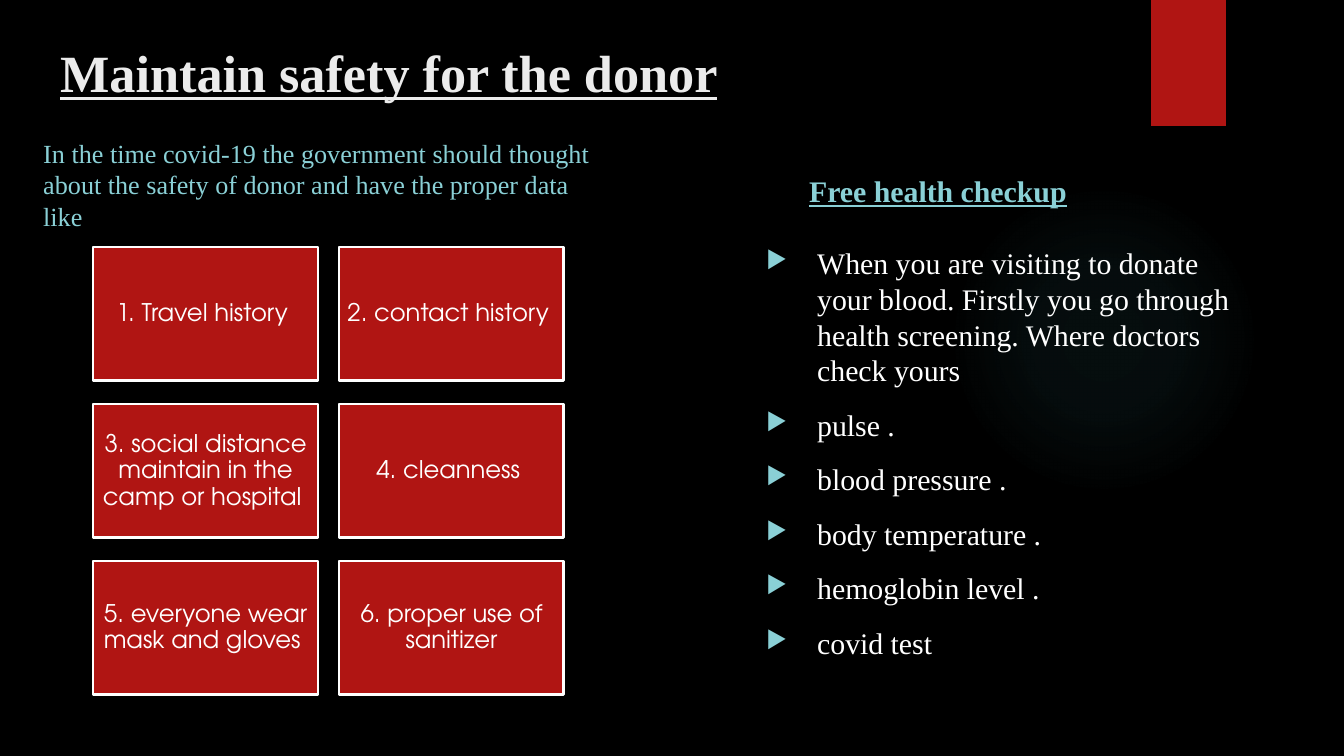
from lxml import etree
from pptx import Presentation
from pptx.dml.color import RGBColor
from pptx.enum.shapes import MSO_SHAPE
from pptx.enum.text import MSO_ANCHOR, PP_ALIGN
from pptx.oxml import parse_xml
from pptx.oxml.ns import nsdecls, qn
from pptx.util import Emu, Pt

RECTANGLE, OVAL = MSO_SHAPE.RECTANGLE, MSO_SHAPE.OVAL
TOP, MIDDLE, BOTTOM = MSO_ANCHOR.TOP, MSO_ANCHOR.MIDDLE, MSO_ANCHOR.BOTTOM
CENTER = PP_ALIGN.CENTER

BLACK = RGBColor(0x00, 0x00, 0x00)
WHITE = RGBColor(0xFF, 0xFF, 0xFF)
PALE_GREY = RGBColor(0xEB, 0xEB, 0xEB)
RED = RGBColor(0xB0, 0x15, 0x13)
AQUA = RGBColor(0x8A, 0xD0, 0xD6)
TEAL = RGBColor(0x50, 0xB9, 0xC1)

SERIF = "Times New Roman"
SANS = "TeX Gyre Adventor"

GLOW_STOPS = [(0, 7), (36, 6), (69, 0)]
PRECAUTIONS = [
    "1. Travel history ",
    "2. contact history ",
    "3. social distance maintain in the camp or hospital ",
    "4. cleanness ",
    "5. everyone wear mask and gloves ",
    "6. proper use of sanitizer",
]
CHECKS = [
    "When you are visiting to donate your blood. Firstly you go through "
    "health screening. Where doctors check yours",
    "pulse . ",
    "blood pressure . ",
    "body temperature . ",
    "hemoglobin level . ",
    "covid test ",
]


def px(length):
    return Emu(round(length * 914400 / 134.4))


def style_runs(paragraph, font_name, size, color, heading=False):
    for run in paragraph.runs:
        run.font.name = font_name
        run.font.size = Pt(size)
        run.font.color.rgb = color
        if heading:
            run.font.bold = True
            run.font.underline = True


def add_shape(slide, preset, box, color):
    shape = slide.shapes.add_shape(preset, *map(px, box))
    shape.shadow.inherit = False
    shape.fill.solid()
    shape.fill.fore_color.rgb = color
    shape.line.fill.background()
    return shape


def add_glow(slide, box):
    glow = add_shape(slide, OVAL, box, TEAL)
    stops = "".join(
        f'<a:gs pos="{position * 1000}"><a:srgbClr val="{TEAL}">'
        f'<a:alpha val="{alpha * 1000}"/></a:srgbClr></a:gs>'
        for position, alpha in GLOW_STOPS
    )
    gradient = parse_xml(
        f'<a:gradFill {nsdecls("a")}><a:gsLst>{stops}</a:gsLst>'
        '<a:path path="circle"><a:fillToRect l="50000" t="50000" '
        'r="50000" b="50000"/></a:path></a:gradFill>'
    )
    properties = glow.fill._xPr
    properties.replace(properties.find(qn("a:solidFill")), gradient)


def add_text(slide, box, paragraphs, size, color, anchor=TOP, heading=False):
    frame = slide.shapes.add_textbox(*map(px, box)).text_frame
    frame.word_wrap = True
    frame.vertical_anchor = anchor
    frame.text = "\n".join(paragraphs)
    for paragraph in frame.paragraphs:
        paragraph.space_before = Pt(10)
        style_runs(paragraph, SERIF, size, color, heading)
    return frame


def add_bullet(paragraph):
    properties = paragraph._p.get_or_add_pPr()
    indent = px(51)
    properties.set("marL", str(indent))
    properties.set("indent", str(-indent))
    bullet_color = etree.SubElement(properties, qn("a:buClr"))
    etree.SubElement(bullet_color, qn("a:srgbClr"), val=str(AQUA))
    etree.SubElement(properties, qn("a:buSzPct"), val="80000")
    etree.SubElement(properties, qn("a:buChar"), char="▶")


def add_card(slide, box, label):
    card = add_shape(slide, RECTANGLE, box, RED)
    card.line.color.rgb = WHITE
    card.line.width = Pt(1.5)
    frame = card.text_frame
    frame.word_wrap = True
    frame.vertical_anchor = MIDDLE
    frame.margin_left = frame.margin_right = px(7)
    frame.margin_top = frame.margin_bottom = px(7)
    frame.text = label
    paragraph = frame.paragraphs[0]
    paragraph.alignment = CENTER
    paragraph.line_spacing = 0.9
    style_runs(paragraph, SANS, 13, WHITE)


def add_cards(slide):
    for index, label in enumerate(PRECAUTIONS):
        row, column = divmod(index, 2)
        add_card(slide, (93 + 246 * column, 247 + 157 * row, 225, 134), label)


def main():
    presentation = Presentation()
    presentation.slide_width = px(1344)
    presentation.slide_height = px(756)
    slide = presentation.slides.add_slide(presentation.slide_layouts[6])
    slide.background.fill.solid()
    slide.background.fill.fore_color.rgb = BLACK

    add_glow(slide, (949, 185, 310, 310))
    add_shape(slide, RECTANGLE, (1151, 0, 75, 126), RED)
    add_text(slide, (47, 34, 1060, 82), ["Maintain safety for the donor"],
             28, PALE_GREY, heading=True)
    add_text(slide, (30, 128, 577, 110),
             ["In the time covid-19 the government should thought about the "
              "safety of donor and have the proper data like "],
             14, AQUA, BOTTOM)
    add_cards(slide)
    add_text(slide, (796, 163, 485, 52), ["Free health checkup"],
             16, AQUA, BOTTOM, heading=True)
    checklist = add_text(slide, (753, 238, 519, 485), CHECKS, 16, WHITE)
    for paragraph in checklist.paragraphs:
        add_bullet(paragraph)

    presentation.save("out.pptx")


if __name__ == "__main__":
    main()
